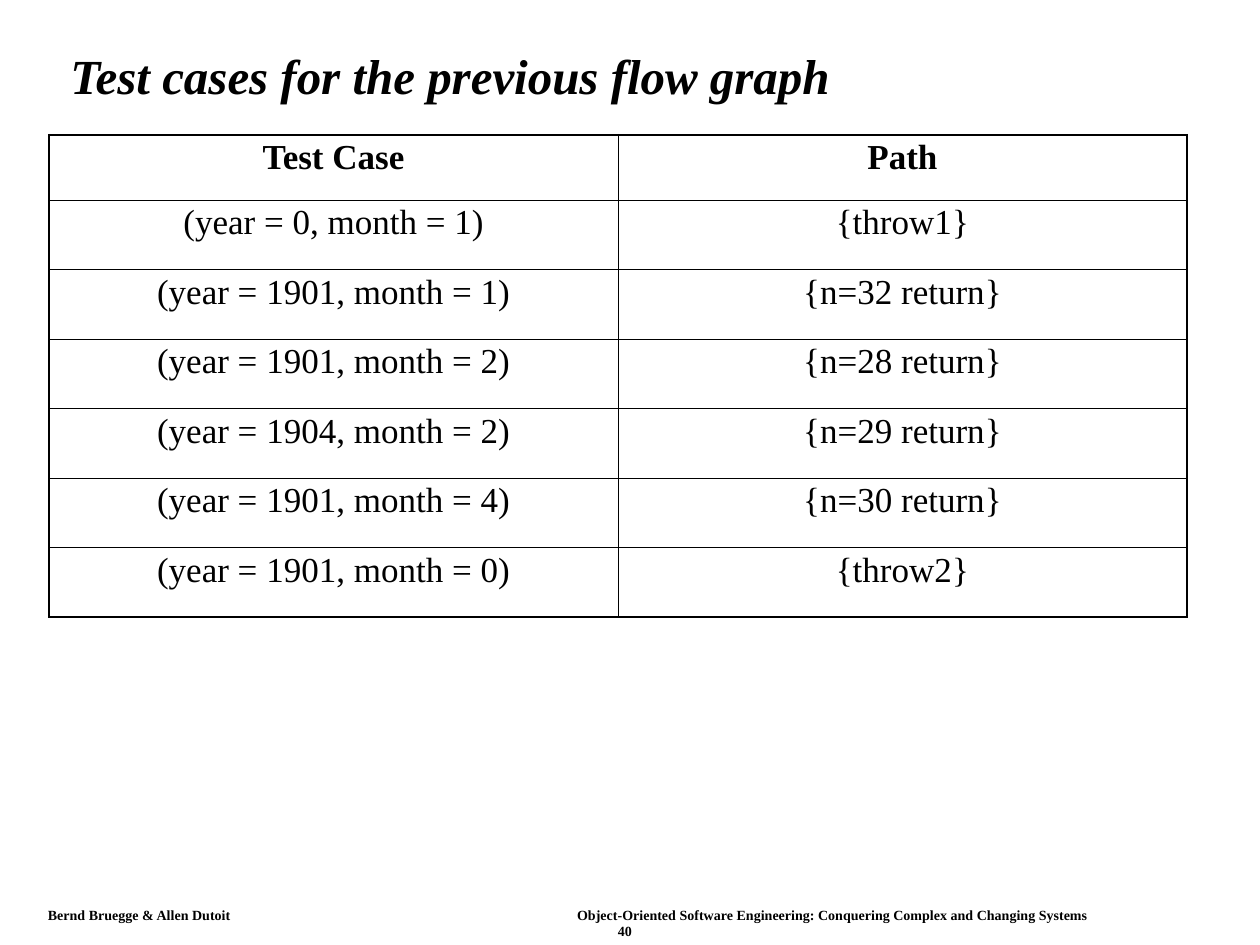
from lxml.etree import SubElement
from pptx import Presentation
from pptx.dml.color import RGBColor
from pptx.enum.text import MSO_ANCHOR, PP_ALIGN
from pptx.oxml.ns import qn
from pptx.util import Inches, Pt

SLIDE_WIDTH, SLIDE_HEIGHT = Inches(10), Inches(7.5)
BLACK = "000000"
FONT = "Times New Roman"
THICK, THIN = Pt(1.08), Pt(0.45)

TEST_CASES = [
    ("Test Case", "Path"),
    ("(year = 0, month = 1)", "{throw1}"),
    ("(year = 1901, month = 1)", "{n=32 return}"),
    ("(year = 1901, month = 2)", "{n=28 return}"),
    ("(year = 1904, month = 2)", "{n=29 return}"),
    ("(year = 1901, month = 4)", "{n=30 return}"),
    ("(year = 1901, month = 0)", "{throw2}"),
]


def color(hex_string):
    return RGBColor.from_string(hex_string)


def share(left, top, width, height):
    """Turn percentages of the slide's size into a box."""
    return (int(SLIDE_WIDTH * left / 100), int(SLIDE_HEIGHT * top / 100),
            int(SLIDE_WIDTH * width / 100), int(SLIDE_HEIGHT * height / 100))


def write(frame, text, paragraph_format, **font_format):
    paragraph = frame.paragraphs[0]
    run = paragraph.add_run()
    run.text = text
    run.font.color.rgb = color(BLACK)
    for target, values in ((paragraph, paragraph_format),
                           (run.font, {"name": FONT, **font_format})):
        for key, value in values.items():
            setattr(target, key, value)


def add_label(slide, box, text, frame_format, paragraph_format, **font_format):
    frame = slide.shapes.add_textbox(*box).text_frame
    for key, value in frame_format.items():
        setattr(frame, key, value)
    write(frame, text, paragraph_format, **font_format)


def add_title(slide, box):
    add_label(slide, box, "Test cases for the previous flow graph",
              {"word_wrap": True, "vertical_anchor": MSO_ANCHOR.MIDDLE},
              {"line_spacing": 0.9}, size=Pt(28), bold=True, italic=True)


def set_borders(cell, widths):
    properties = cell._tc.get_or_add_tcPr()
    for side, width in widths.items():
        line = SubElement(properties, qn(f"a:{side}"), w=str(width))
        fill = SubElement(line, qn("a:solidFill"))
        SubElement(fill, qn("a:srgbClr"), val=BLACK)


def add_test_cases(slide, box):
    left, top, width, height = box
    row_count, column_count = len(TEST_CASES), len(TEST_CASES[0])
    table = slide.shapes.add_table(row_count, column_count, *box).table
    table.first_row = table.horz_banding = False
    header_height = Inches(0.52)
    for column in table.columns:
        column.width = width // column_count
    for index, row in enumerate(table.rows):
        row.height = (height - header_height) // (row_count - 1) if index else header_height
    for row, texts in enumerate(TEST_CASES):
        for column, text in enumerate(texts):
            cell = table.cell(row, column)
            write(cell.text_frame, text,
                  {"alignment": PP_ALIGN.CENTER, "line_spacing": 0.9, "space_before": Pt(7.5)},
                  size=Pt(20), bold=row == 0)
            outer_sides = {"lnL": column == 0, "lnR": column == column_count - 1,
                           "lnT": row == 0, "lnB": row == row_count - 1}
            set_borders(cell, {side: THICK if outer else THIN
                               for side, outer in outer_sides.items()})
            cell.fill.background()


def add_footer(slide, box):
    left, top, width, height = box
    line_height = height // 2
    no_margins = {f"margin_{side}": 0 for side in ("left", "top", "right", "bottom")}
    parts = [
        ("Bernd Bruegge & Allen Dutoit", 0, 0, 0.25, PP_ALIGN.LEFT),
        ("Object-Oriented Software Engineering: Conquering Complex and Changing Systems",
         0.43, 0, 0.5, PP_ALIGN.CENTER),
        ("40", 0.4, 1, 0.2, PP_ALIGN.CENTER),
    ]
    for text, offset, line, part_width, alignment in parts:
        part_box = (left + int(width * offset), top + line * line_height,
                    int(width * part_width), line_height)
        add_label(slide, part_box, text, {"word_wrap": False, **no_margins},
                  {"alignment": alignment}, size=Pt(8), bold=True)


def main():
    presentation = Presentation()
    presentation.slide_width, presentation.slide_height = SLIDE_WIDTH, SLIDE_HEIGHT
    slide = presentation.slides.add_slide(presentation.slide_layouts[6])
    add_footer(slide, share(3.8, 95.9, 91.6, 3.4))
    add_title(slide, share(4.6, 3.2, 89.2, 10.27))
    add_test_cases(slide, share(3.9, 14.27, 90.3, 51.07))
    presentation.save("out.pptx")


if __name__ == "__main__":
    main()
